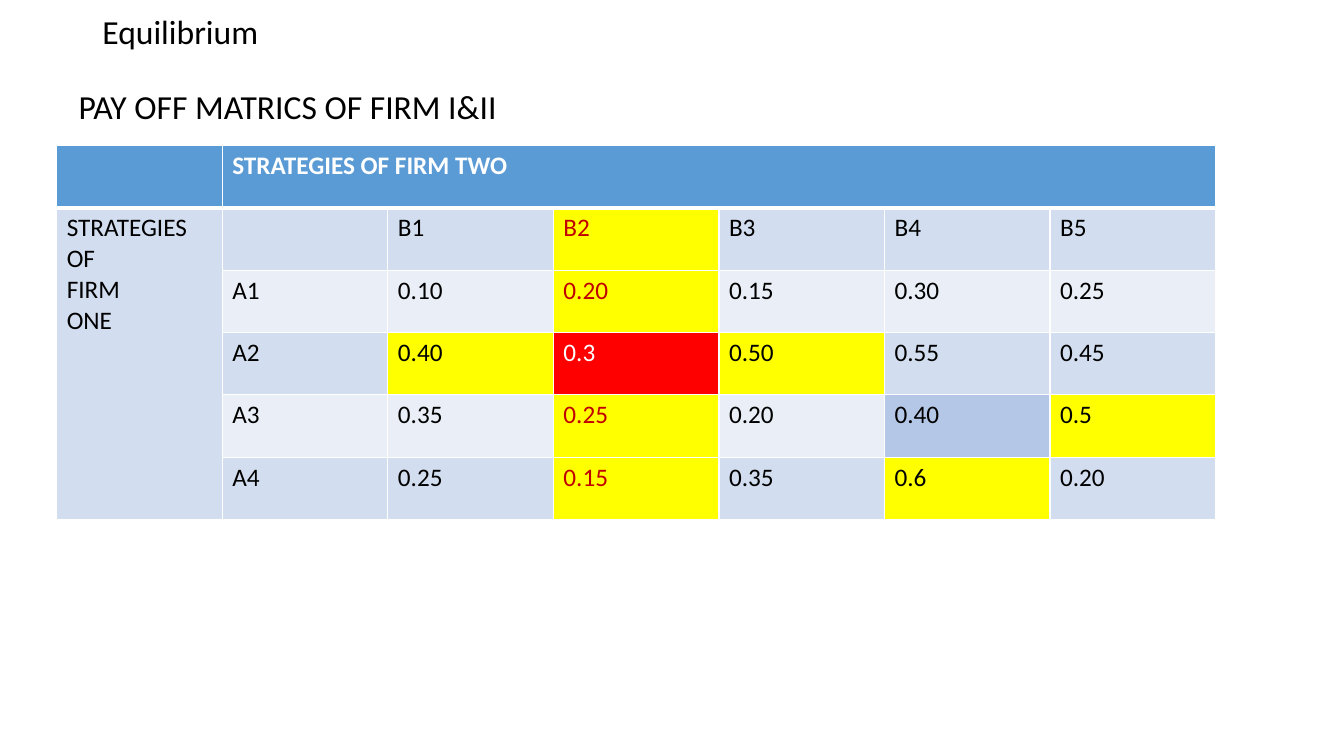
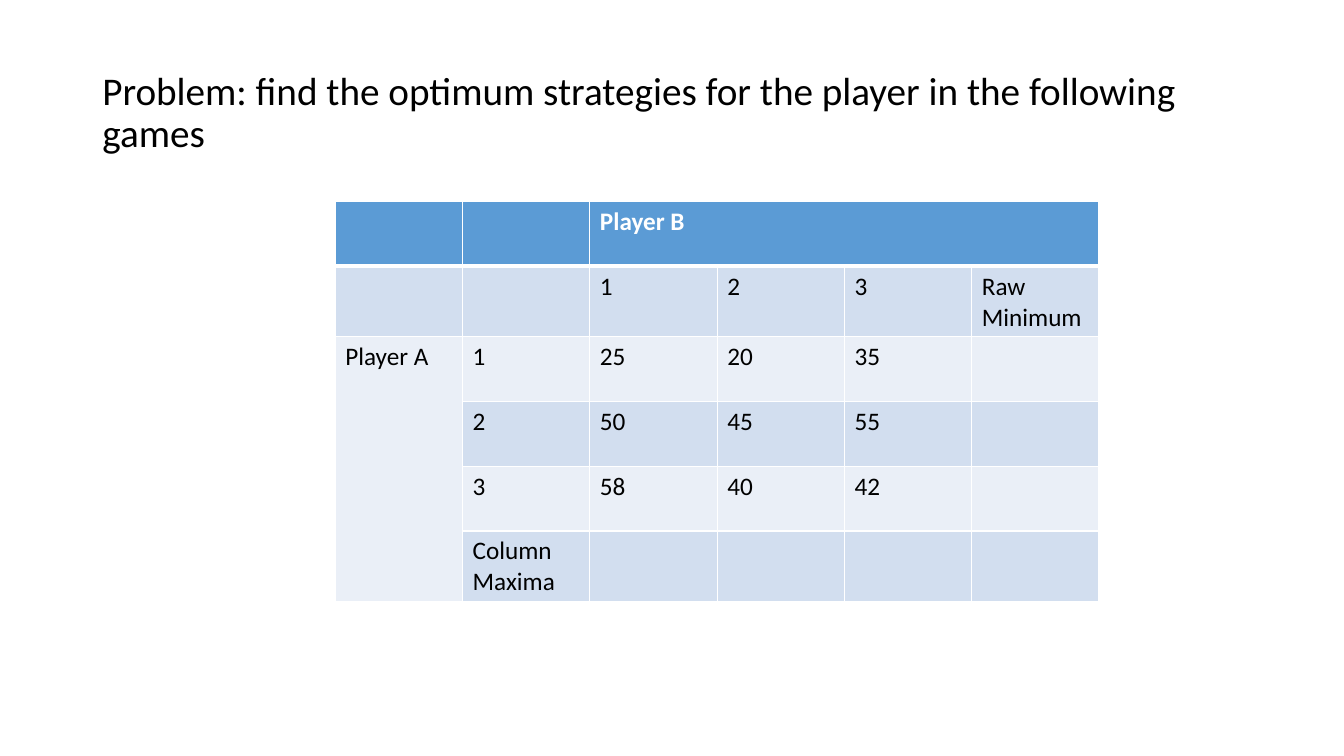
"""Build two game theory slides with payoff tables."""
from lxml import etree
from pptx import Presentation
from pptx.dml.color import RGBColor
from pptx.enum.text import MSO_ANCHOR
from pptx.oxml.ns import qn
from pptx.util import Cm, Pt

TOP, MIDDLE = MSO_ANCHOR.TOP, MSO_ANCHOR.MIDDLE
WHITE, BLACK, DARK_RED = "FFFFFF", "000000", "C00000"
YELLOW, RED, PALE_BLUE = "FFFF00", "FF0000", "B4C7E7"
HEADER, BANDS = "5B9BD5", ("EAEFF7", "D2DEEF")


def rgb(value):
    return RGBColor.from_string(value)


class Deck:
    font = "Calibri"
    body_size = 18

    def __init__(self):
        self.prs = Presentation()
        self.prs.slide_width, self.prs.slide_height = Cm(33.87), Cm(19.05)
        self.s = None

    def slide(self):
        self.s = self.prs.slides.add_slide(self.prs.slide_layouts[6])

    def set_text(self, tf, value, size, color=BLACK, bold=False, spacing=1.0):
        tf.text = value
        style = {"name": self.font, "size": Pt(size), "bold": bold}
        for p in tf.paragraphs:
            p.line_spacing = spacing
            for r in p.runs:
                for key, setting in style.items():
                    setattr(r.font, key, setting)
                r.font.color.rgb = rgb(color)

    def text(self, value, x, y, w, h, size, anchor=TOP, spacing=1.0):
        tf = self.s.shapes.add_textbox(Cm(x), Cm(y), Cm(w), Cm(h)).text_frame
        tf.word_wrap = True
        tf.vertical_anchor = anchor
        self.set_text(tf, value, size, spacing=spacing)

    def title(self, value, y, h, size):
        self.text(value, 2.33, y, 29.21, h, size, MIDDLE, 0.9)

    def borders(self, cell, bottom):
        tc_pr = cell._tc.get_or_add_tcPr()
        widths = {"lnL": 1, "lnR": 1, "lnT": 1, "lnB": bottom}
        for i, (tag, width) in enumerate(widths.items()):
            ln = etree.Element(qn(f"a:{tag}"), w=str(Pt(width)))
            fill = etree.SubElement(ln, qn("a:solidFill"))
            etree.SubElement(fill, qn("a:srgbClr"), val=WHITE)
            tc_pr.insert(i, ln)

    def table(self, rows, x, y, w, row_height, merges, marks=None):
        marks = marks or {}
        shape = self.s.shapes.add_table(
            len(rows), len(rows[0]), Cm(x), Cm(y), Cm(w), Cm(row_height * len(rows)))
        tbl = shape.table
        for i, row in enumerate(rows):
            head = i == 0
            base = (HEADER, WHITE) if head else (BANDS[i % 2], BLACK)
            for j, value in enumerate(row):
                fill, color = marks.get((i, j), base)
                cell = tbl.cell(i, j)
                cell.fill.solid()
                cell.fill.fore_color.rgb = rgb(fill)
                self.borders(cell, 3 if head else 1)
                self.set_text(cell.text_frame, value, self.body_size, color, head)
        for first, last in merges:
            tbl.cell(*first).merge(tbl.cell(*last))


def equilibrium(deck):
    deck.slide()
    deck.title("Equilibrium", 0, 1.68, 24)
    rows = [
        ["", "STRATEGIES OF FIRM TWO", "", "", "", "", ""],
        ["STRATEGIES\nOF\nFIRM\nONE", "", "B1", "B2", "B3", "B4", "B5"],
        ["", "A1", "0.10", "0.20", "0.15", "0.30", "0.25"],
        ["", "A2", "0.40", "0.3", "0.50", "0.55", "0.45"],
        ["", "A3", "0.35", "0.25", "0.20", "0.40", "0.5"],
        ["", "A4", "0.25", "0.15", "0.35", "0.6", "0.20"],
    ]
    marks = {(i, 3): (YELLOW, DARK_RED) for i in range(1, len(rows))}
    marks.update({pos: (YELLOW, BLACK) for pos in [(3, 2), (3, 4), (4, 6), (5, 5)]})
    marks.update({(3, 3): (RED, WHITE), (4, 5): (PALE_BLUE, BLACK)})
    deck.table(rows, 1.43, 3.67, 29.21, 1.57,
               [((0, 1), (0, 6)), ((1, 0), (5, 0))], marks)
    deck.text("PAY OFF MATRICS OF FIRM I&II", 1.73, 2.03, 30, 1.28, 24)


def problem(deck):
    deck.slide()
    deck.title("Problem: find the optimum strategies for the player in the following games",
               1.02, 3.68, 28)
    rows = [
        ["", "", "Player B", "", "", ""],
        ["", "", "1", "2", "3", "Raw Minimum"],
        ["Player A", "1", "25", "20", "35", ""],
        ["", "2", "50", "45", "55", ""],
        ["", "3", "58", "40", "42", ""],
        ["", "Column Maxima", "", "", "", ""],
    ]
    deck.table(rows, 8.45, 5.08, 19.25, 1.63,
               [((0, 2), (0, 5)), ((2, 0), (5, 0))])


def main():
    deck = Deck()
    equilibrium(deck)
    problem(deck)
    deck.prs.save("out.pptx")


if __name__ == "__main__":
    main()
